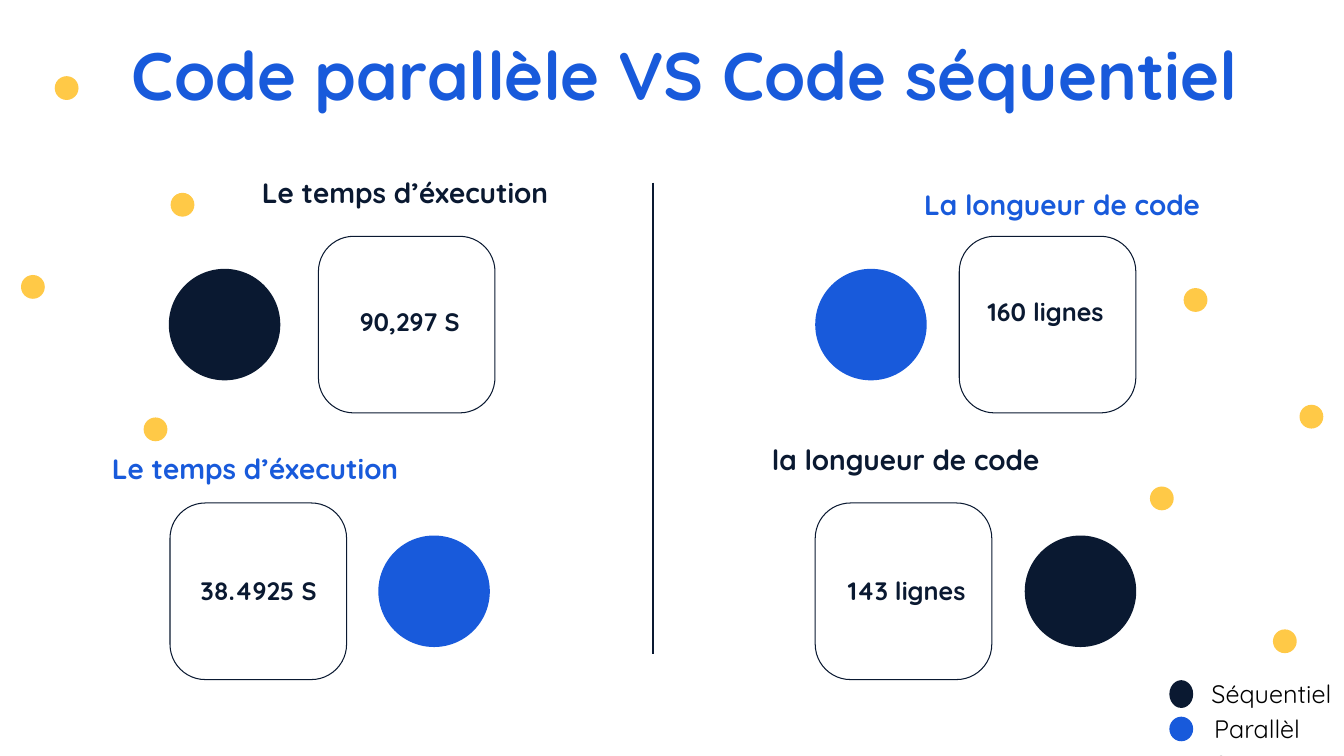
from pptx import Presentation
from pptx.dml.color import RGBColor
from pptx.enum.shapes import MSO_CONNECTOR as Connector, MSO_SHAPE as Shape
from pptx.enum.text import MSO_AUTO_SIZE as AutoSize, PP_ALIGN as Align
from pptx.oxml.ns import qn
from pptx.util import Cm, Pt

COLORS = {"blue": "185ADB", "navy": "0A1931", "yellow": "FFC947", "black": "000000"}
FONT = "Quicksand"
DOT = 0.6
CIRCLE = 2.81
SQUARE = 4.45
VALUE_SIZE = (4.04, 1.02)
HEADING_HEIGHT = 1.12


class SlideBuilder:
    """Draws styled elements on one slide, with all lengths in centimetres."""

    def __init__(self, slide):
        self.shapes = slide.shapes

    def color(self, name):
        return RGBColor.from_string(COLORS[name])

    def centered(self, kind, x, y, width, height):
        shape = self.shapes.add_shape(
            kind, Cm(x - width / 2), Cm(y - height / 2), Cm(width), Cm(height))
        shape.shadow.inherit = False
        return shape

    def disc(self, x, y, color, width, height=None):
        shape = self.centered(Shape.OVAL, x, y, width, height or width)
        shape.fill.solid()
        shape.fill.fore_color.rgb = self.color(color)
        shape.line.fill.background()

    def frame(self, x, y):
        shape = self.centered(Shape.ROUNDED_RECTANGLE, x, y, SQUARE, SQUARE)
        shape.adjustments[0] = 0.2
        shape.fill.background()
        shape.line.color.rgb = self.color("navy")
        shape.line.width = Pt(0.75)

    def text(self, words, left, top, width, height, size, color,
             bold=True, align=Align.LEFT, wrap=False):
        box = self.shapes.add_textbox(Cm(left), Cm(top), Cm(width), Cm(height))
        box.text_frame.word_wrap = wrap
        box.text_frame.auto_size = AutoSize.SHAPE_TO_FIT_TEXT
        para = box.text_frame.paragraphs[0]
        para.alignment = align
        span = para.add_run()
        span.text = words
        span.font.name = FONT
        span.font.size = Pt(size)
        span.font.bold = bold
        span.font.color.rgb = self.color(color)

    def value(self, words, x, y):
        width, height = VALUE_SIZE
        self.text(words, x - width / 2, y - height / 2, width, height, 18, "navy",
                  align=Align.CENTER, wrap=True)

    def divider(self, x, top, bottom):
        line = self.shapes.add_connector(
            Connector.STRAIGHT, Cm(x), Cm(top), Cm(x), Cm(bottom))
        line.line.color.rgb = self.color("navy")
        line.line.width = Pt(1)
        properties = line._element.spPr
        properties.append(properties.makeelement(qn("a:effectLst"), {}))


def main():
    deck = Presentation()
    deck.slide_width, deck.slide_height = Cm(33.87), Cm(19.05)
    page = SlideBuilder(deck.slides.add_slide(deck.slide_layouts[6]))

    page.text("Code parallèle VS Code séquentiel", 2.92, 0.71, 28.68, 2.31, 48, "blue",
              align=Align.CENTER)

    dots = [(4.6, 5.16), (0.83, 7.23), (1.68, 2.22), (3.92, 10.82),
            (33.05, 10.5), (29.28, 12.56), (30.13, 7.56), (32.38, 16.16)]
    for x, y in dots:
        page.disc(x, y, "yellow", DOT)

    upper, lower = 8.18, 14.9
    measures = [
        (upper, 5.66, "navy", 10.25, "90,297 S", (10.33, 8.1)),
        (lower, 10.94, "blue", 6.51, "38.4925 S", (6.52, 14.88)),
        (upper, 21.95, "blue", 26.4, "160 lignes", (26.35, 7.85)),
        (lower, 27.23, "navy", 22.77, "143 lignes", (22.85, 14.88)),
    ]
    for y, disc_x, color, frame_x, words, position in measures:
        page.disc(disc_x, y, color, CIRCLE)
        page.frame(frame_x, y)
        page.value(words, *position)

    headings = [
        ("Le temps d’éxecution", 6.35, 4.29, 7.8, "navy", False),
        ("Le temps d’éxecution", 2.57, 11.25, 7.8, "blue", False),
        ("La longueur de code", 23.04, 4.6, 7.49, "blue", False),
        ("la longueur de code", 19.2, 11.02, 10.34, "navy", True),
    ]
    for words, left, top, width, color, wrap in headings:
        page.text(words, left, top, width, HEADING_HEIGHT, 20, color, wrap=wrap)

    legend = [
        ("Séquentiel", "navy", 17.49, 0.7, 30.28, 16.97, 3.53),
        ("Parallèle", "blue", 18.37, 0.62, 30.35, 17.86, 3),
    ]
    for words, color, y, height, left, top, width in legend:
        page.disc(29.77, y, color, DOT, height)
        page.text(words, left, top, width, 1.02, 18, "black", bold=False)

    page.divider(16.46, 4.6, 16.48)
    deck.save("out.pptx")


if __name__ == "__main__":
    main()
